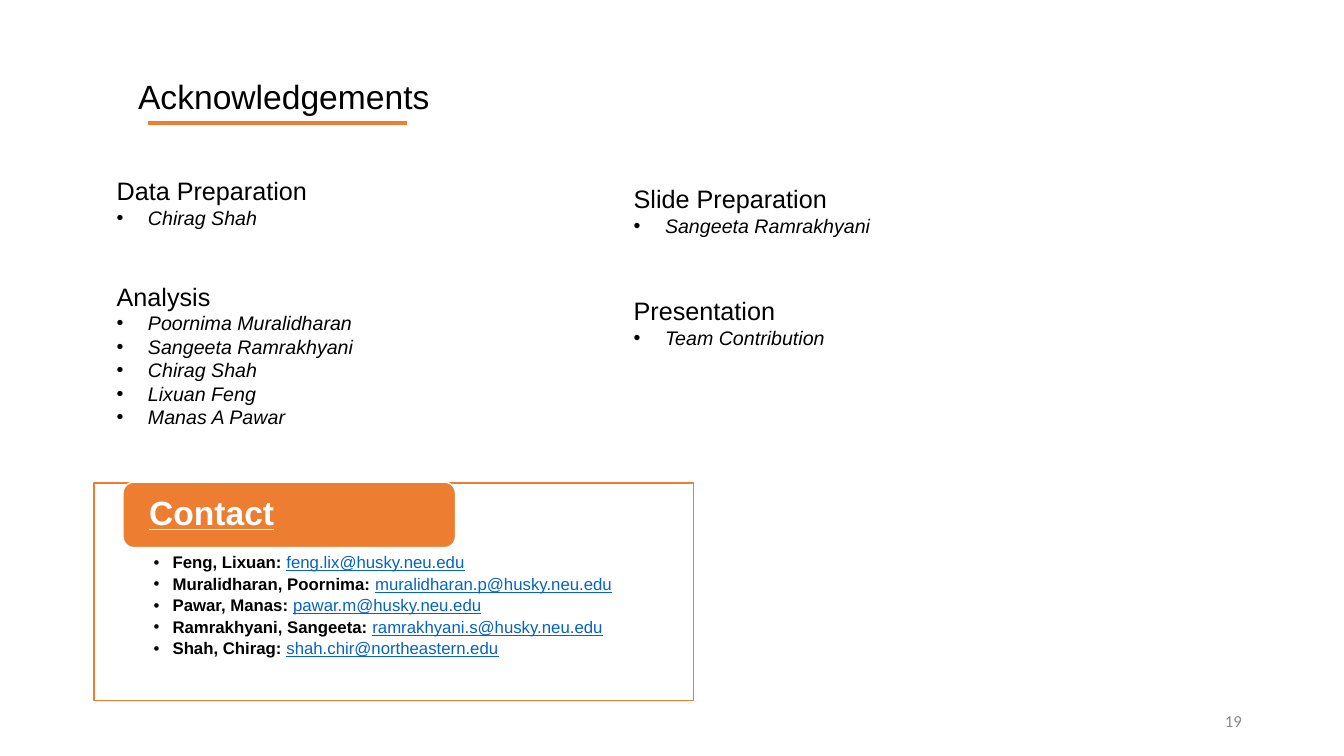
"""Build the acknowledgements slide with credits and a contact panel."""
from dataclasses import dataclass

from lxml import etree
from pptx import Presentation
from pptx.dml.color import RGBColor
from pptx.enum.shapes import MSO_CONNECTOR, MSO_SHAPE
from pptx.enum.text import MSO_ANCHOR, MSO_AUTO_SIZE, PP_ALIGN
from pptx.oxml.ns import qn
from pptx.util import Cm, Pt

LEFT, RIGHT = PP_ALIGN.LEFT, PP_ALIGN.RIGHT
MIDDLE, TOP = MSO_ANCHOR.MIDDLE, MSO_ANCHOR.TOP
NO_AUTOFIT = MSO_AUTO_SIZE.NONE
RECTANGLE, ROUNDED = MSO_SHAPE.RECTANGLE, MSO_SHAPE.ROUNDED_RECTANGLE
STRAIGHT = MSO_CONNECTOR.STRAIGHT
TITLE_ONLY = 5
COLOURS = {"text": "000000", "accent": "ED7D31", "paper": "FFFFFF",
           "email": "0563C1", "number": "888888"}


@dataclass(frozen=True)
class Credit:
    task: str
    people: tuple[str, ...]


@dataclass(frozen=True)
class CreditColumn:
    left: float
    top: float
    width: float
    height: float
    gap: float
    credits: tuple[Credit, ...]


@dataclass(frozen=True)
class Contact:
    name: str
    email: str


COLUMNS = (
    CreditColumn(2.69, 4.29, 11.38, 7.44, 37, (
        Credit("Data Preparation", ("Chirag Shah",)),
        Credit("Analysis", ("Poornima Muralidharan", "Sangeeta Ramrakhyani",
                            "Chirag Shah", "Lixuan Feng", "Manas A Pawar")),
    )),
    CreditColumn(15.72, 4.5, 11.38, 4.7, 41.4, (
        Credit("Slide Preparation", ("Sangeeta Ramrakhyani",)),
        Credit("Presentation", ("Team Contribution",)),
    )),
)
CONTACTS = (
    Contact("Feng, Lixuan", "feng.lix@husky.neu.edu"),
    Contact("Muralidharan, Poornima", "muralidharan.p@husky.neu.edu"),
    Contact("Pawar, Manas", "pawar.m@husky.neu.edu"),
    Contact("Ramrakhyani, Sangeeta", "ramrakhyani.s@husky.neu.edu"),
    Contact("Shah, Chirag", "shah.chir@northeastern.edu"),
)


def colour(key: str) -> RGBColor:
    """Return the named colour."""
    return RGBColor.from_string(COLOURS[key])


def write(paragraph, text: str, *, size: float, ink: str = "text", face: str = "Arial",
          bold: bool = False, italic: bool = False, underline: bool = False) -> None:
    """Append formatted text to a paragraph."""
    run = paragraph.add_run()
    run.text = text
    font = run.font
    font.name, font.size = face, Pt(size)
    font.bold, font.italic, font.underline = bold, italic, underline
    font.color.rgb = colour(ink)


def next_paragraph(frame):
    """Return the empty first paragraph, or a new one."""
    first = frame.paragraphs[0]
    return frame.add_paragraph() if first.runs else first


def add_bullet(paragraph, indent: float) -> None:
    """Give a paragraph a black bullet with a hanging indent."""
    properties = paragraph._p.get_or_add_pPr()
    properties.set("marL", str(Cm(indent)))
    properties.set("indent", str(-Cm(indent)))
    bullet_colour = etree.SubElement(properties, qn("a:buClr"))
    etree.SubElement(bullet_colour, qn("a:srgbClr"), val=COLOURS["text"])
    etree.SubElement(properties, qn("a:buFont"), typeface="Arial")
    etree.SubElement(properties, qn("a:buChar"), char="•")


def set_frame(frame, anchor=TOP, margins: tuple[float, ...] = (0.25, 0.13, 0.25, 0.13)) -> None:
    """Set wrapping, anchor and margins of a text frame."""
    frame.word_wrap = True
    frame.auto_size = NO_AUTOFIT
    frame.vertical_anchor = anchor
    (frame.margin_left, frame.margin_top,
     frame.margin_right, frame.margin_bottom) = map(Cm, margins)


def add_panel(slide, preset, box: tuple[float, ...], fill: str, line: str):
    """Add a filled and outlined shape."""
    panel = slide.shapes.add_shape(preset, *map(Cm, box))
    panel.shadow.inherit = False
    panel.fill.solid()
    panel.fill.fore_color.rgb = colour(fill)
    panel.line.color.rgb = colour(line)
    panel.line.width = Pt(1)
    return panel


def add_title(slide) -> None:
    """Place the title and its underline."""
    title = slide.shapes.title
    title.left, title.top, title.width, title.height = map(Cm, (3.23, 0.46, 27.94, 4.04))
    set_frame(title.text_frame, MIDDLE)
    heading = title.text_frame.paragraphs[0]
    heading.alignment, heading.line_spacing = LEFT, 0.9
    write(heading, "Acknowledgements", size=24)
    rule = slide.shapes.add_connector(STRAIGHT, *map(Cm, (3.74, 3.1, 10.26, 3.1)))
    rule.line.color.rgb = colour("accent")
    rule.line.width = Pt(2.25)
    etree.SubElement(rule._element.spPr, qn("a:effectLst"))


def add_credits(slide, column: CreditColumn) -> None:
    """Add one column of tasks and the people behind them."""
    box = (column.left, column.top, column.width, column.height)
    frame = slide.shapes.add_textbox(*map(Cm, box)).text_frame
    set_frame(frame)
    for position, credit in enumerate(column.credits):
        task = next_paragraph(frame)
        if position:
            task.space_before = Pt(column.gap)
        write(task, credit.task, size=18)
        for person in credit.people:
            entry = next_paragraph(frame)
            add_bullet(entry, 0.79)
            write(entry, person, size=14, italic=True)


def add_contacts(slide) -> None:
    """Add the contact panel with its tab and addresses."""
    add_panel(slide, RECTANGLE, (2.37, 12.17, 15.11, 5.49), "paper", "accent")
    frame = slide.shapes.add_textbox(*map(Cm, (2.37, 10.21, 15.11, 5.49))).text_frame
    set_frame(frame, margins=(1.5, 3.76, 1.5, 0.3))
    for position, contact in enumerate(CONTACTS):
        entry = next_paragraph(frame)
        add_bullet(entry, 0.48)
        entry.line_spacing = 0.9
        if position:
            entry.space_before = Pt(2.4)
        write(entry, f"{contact.name}: ", size=12, bold=True)
        write(entry, contact.email, size=12, ink="email", underline=True)

    tab = add_panel(slide, ROUNDED, (3.1, 12.15, 8.38, 1.65), "accent", "paper")
    set_frame(tab.text_frame, MIDDLE, (0.58, 0, 0.58, 0))
    label = tab.text_frame.paragraphs[0]
    label.alignment, label.line_spacing = LEFT, 0.9
    write(label, "Contact", size=24, ink="paper", bold=True, underline=True)


def add_slide_number(slide) -> None:
    """Add the slide number at the lower right."""
    frame = slide.shapes.add_textbox(*map(Cm, (23.93, 17.65, 7.62, 1.02))).text_frame
    set_frame(frame, MIDDLE)
    number = frame.paragraphs[0]
    number.alignment = RIGHT
    write(number, "19", size=12, ink="number", face="Calibri")


def main() -> None:
    """Build and save the presentation."""
    presentation = Presentation()
    presentation.slide_width, presentation.slide_height = Cm(33.87), Cm(19.05)
    slide = presentation.slides.add_slide(presentation.slide_layouts[TITLE_ONLY])
    add_title(slide)
    add_slide_number(slide)
    for column in COLUMNS:
        add_credits(slide, column)
    add_contacts(slide)
    presentation.save("out.pptx")


if __name__ == "__main__":
    main()
